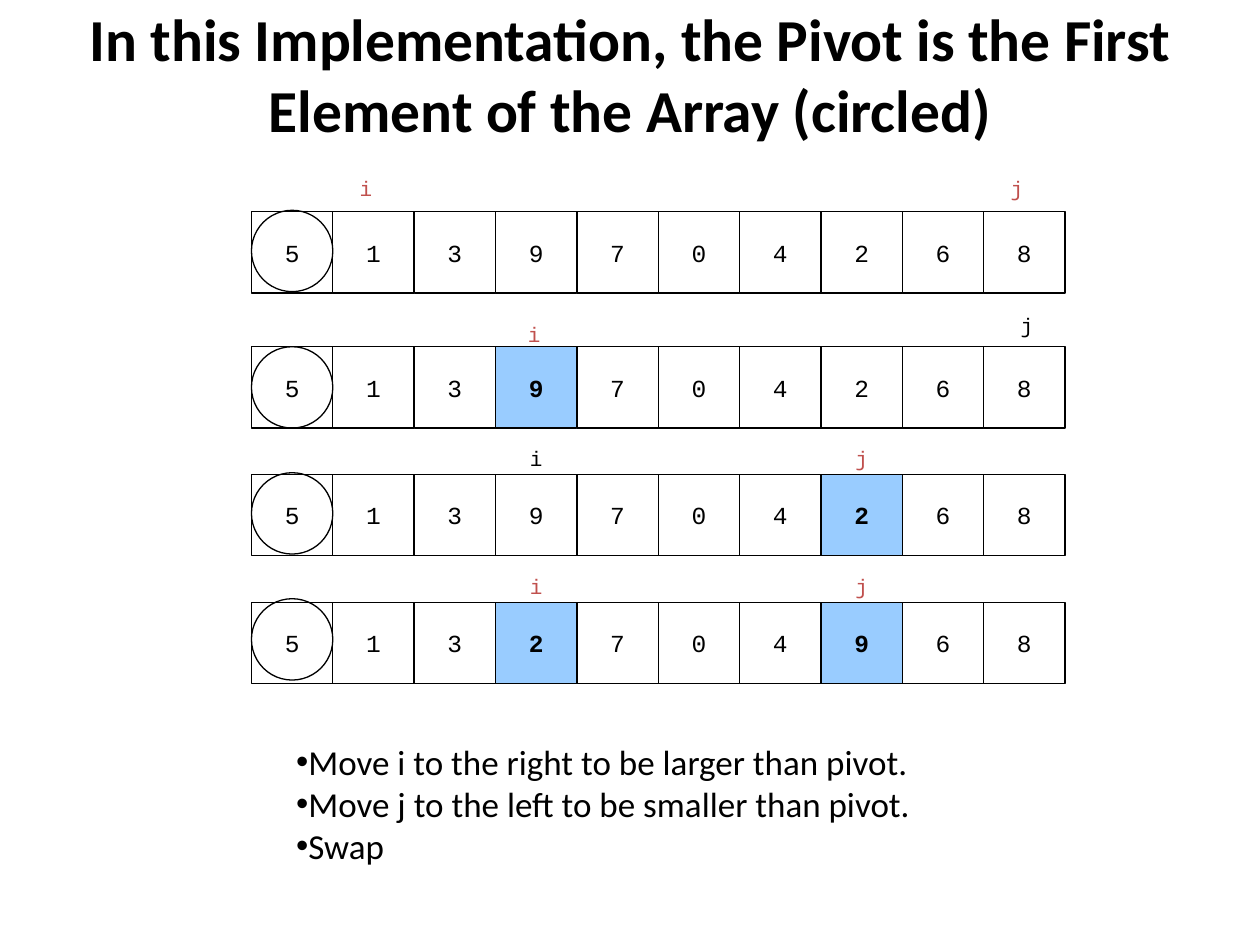
from lxml import etree
from pptx import Presentation
from pptx.dml.color import RGBColor
from pptx.enum.shapes import MSO_SHAPE
from pptx.enum.text import MSO_ANCHOR, PP_ALIGN
from pptx.oxml.ns import qn
from pptx.util import Cm, Pt

RECTANGLE, OVAL = MSO_SHAPE.RECTANGLE, MSO_SHAPE.OVAL
CENTER, MIDDLE = PP_ALIGN.CENTER, MSO_ANCHOR.MIDDLE
BLACK = RGBColor(0x00, 0x00, 0x00)
RED = RGBColor(0xC0, 0x50, 0x4D)
LIGHT_BLUE = RGBColor(0x99, 0xCC, 0xFF)

TITLE = ("In this Implementation, the Pivot is the First "
         "Element of the Array (circled)")
STEPS = [
    "Move i to the right to be larger than pivot.",
    "Move j to the left to be smaller than pivot.",
    "Swap",
]
# Markers: letter, column, horizontal nudge (cm), top (cm), colour
ROWS = [
    {"values": "5139704268", "top": 4.27, "circle_top": 4.24, "highlighted": (),
     "markers": [("i", 1, -0.15, 2.97, RED), ("j", 9, -0.15, 2.97, RED)]},
    {"values": "5139704268", "top": 6.99, "circle_top": 6.99, "highlighted": (3,),
     "markers": [("i", 3, -0.04, 5.92, RED), ("j", 9, 0.05, 5.74, BLACK)]},
    {"values": "5139704268", "top": 9.56, "circle_top": 9.53, "highlighted": (7,),
     "markers": [("i", 3, 0, 8.41, BLACK), ("j", 7, 0, 8.41, RED)]},
    {"values": "5132704968", "top": 12.14, "circle_top": 12.07, "highlighted": (3, 7),
     "markers": [("i", 3, 0, 11, RED), ("j", 7, 0, 11, RED)]},
]
ARRAY_LEFT, CELL = 5.07, 1.64


def column_left(column):
    return ARRAY_LEFT + column * CELL


def add_run(paragraph, text, font_name, size, color=BLACK, bold=False):
    run = paragraph.add_run()
    run.text = text
    run.font.name = font_name
    run.font.size = Pt(size)
    run.font.bold = bold
    run.font.color.rgb = color


def add_centered_letter(shape, text, size, color=BLACK, bold=False):
    frame = shape.text_frame
    frame.word_wrap = False
    frame.vertical_anchor = MIDDLE
    paragraph = frame.paragraphs[0]
    paragraph.alignment = CENTER
    add_run(paragraph, text, "Courier New", size, color, bold)


def add_outline(slide, kind, left, top, fill=None):
    shape = slide.shapes.add_shape(kind, Cm(left), Cm(top), Cm(CELL), Cm(CELL))
    shape.shadow.inherit = False
    if fill is None:
        shape.fill.background()
    else:
        shape.fill.solid()
        shape.fill.fore_color.rgb = fill
    shape.line.color.rgb = BLACK
    shape.line.width = Pt(0.75)
    return shape


def add_array_row(slide, row):
    for column, value in enumerate(row["values"]):
        marked = column in row["highlighted"]
        cell = add_outline(slide, RECTANGLE, column_left(column), row["top"],
                           LIGHT_BLUE if marked else None)
        add_centered_letter(cell, value, 14, bold=marked)
    add_outline(slide, OVAL, ARRAY_LEFT, row["circle_top"])
    for letter, column, nudge, top, color in row["markers"]:
        box = slide.shapes.add_textbox(Cm(column_left(column) + nudge), Cm(top),
                                       Cm(CELL), Cm(CELL))
        add_centered_letter(box, letter, 12, color)


def add_steps(slide):
    box = slide.shapes.add_textbox(Cm(5.72), Cm(14.81), Cm(13.6), Cm(2.8))
    frame = box.text_frame
    frame.word_wrap = True
    for index, step in enumerate(STEPS):
        paragraph = frame.add_paragraph() if index else frame.paragraphs[0]
        properties = paragraph._p.get_or_add_pPr()
        etree.SubElement(properties, qn("a:buFont"), typeface="Arial")
        etree.SubElement(properties, qn("a:buChar"), char="•")
        add_run(paragraph, step, "Calibri", 20)


def add_title(slide):
    title = slide.shapes.title
    title.left, title.top, title.width, title.height = Cm(0), Cm(0.18), Cm(25.4), Cm(2.6)
    title.text_frame.word_wrap = True
    title.text_frame.vertical_anchor = MIDDLE
    paragraph = title.text_frame.paragraphs[0]
    paragraph.alignment = CENTER
    add_run(paragraph, TITLE, "Calibri", 34, bold=True)


def main():
    presentation = Presentation()
    presentation.slide_width, presentation.slide_height = Cm(25.4), Cm(19.05)
    slide = presentation.slides.add_slide(presentation.slide_layouts[5])
    add_title(slide)
    for row in ROWS:
        add_array_row(slide, row)
    add_steps(slide)
    presentation.save("out.pptx")


if __name__ == "__main__":
    main()
